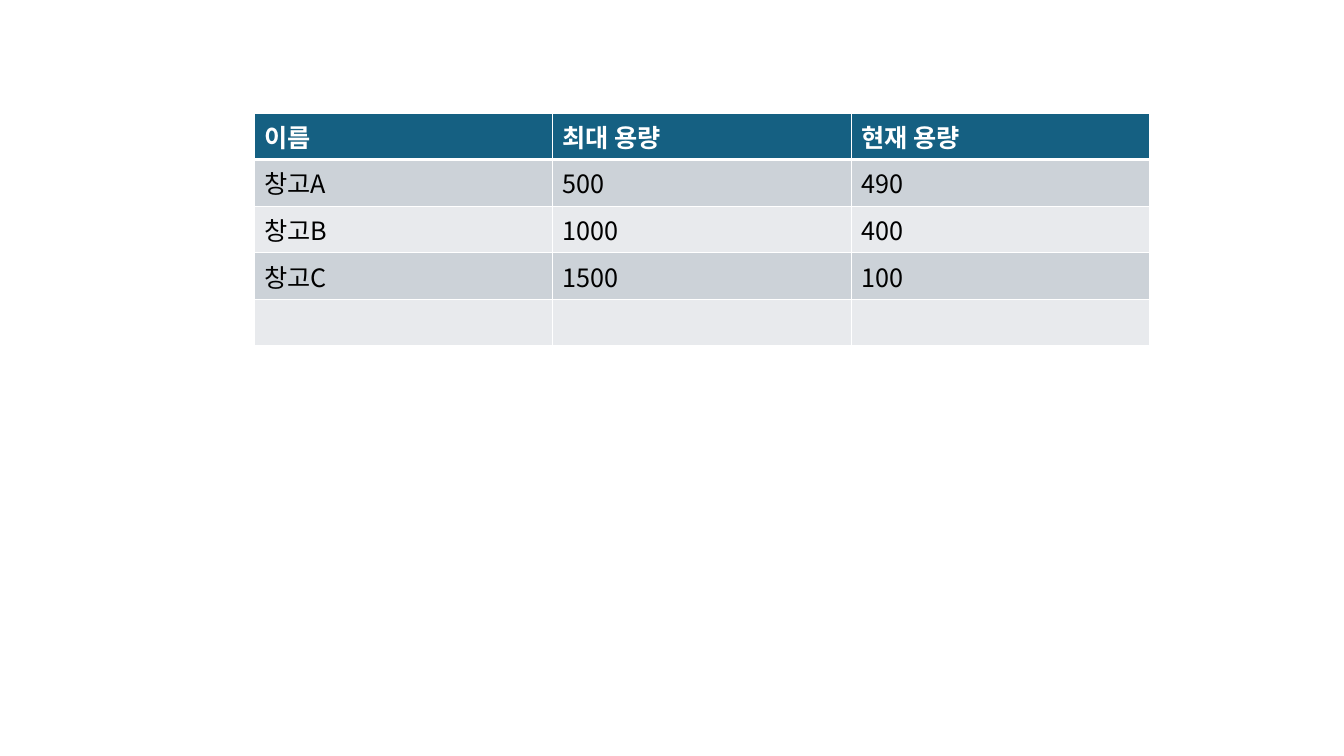
import dataclasses

import lxml.etree
import pptx
import pptx.dml.color
import pptx.oxml.ns
import pptx.text.text
import pptx.util

EMU_PER_PX = 914400 / 100.8


@dataclasses.dataclass(frozen=True)
class Theme:
    font: str = "Noto Sans CJK KR"
    text_size: int = 18
    header_fill: str = "156082"
    header_text: str = "FFFFFF"
    band_fills: tuple = ("CCD2D8", "E8EAED")
    body_text: str = "000000"
    rule: str = "FFFFFF"
    thin_rule: int = 1
    thick_rule: int = 3


def px(length):
    return pptx.util.Emu(round(length * EMU_PER_PX))


def rgb(value):
    return pptx.dml.color.RGBColor.from_string(value)


class SlideBuilder:
    def __init__(self, slide, theme):
        self.slide = slide
        self.theme = theme

    def add_table(self, left, top, width, row_height, rows):
        height = row_height * len(rows)
        table = self.slide.shapes.add_table(
            len(rows), len(rows[0]), px(left), px(top), px(width), px(height)
        ).table
        table.horz_banding = False
        for row_index, row in enumerate(rows):
            for column_index, text in enumerate(row):
                self.fill_cell(table.cell(row_index, column_index), text, row_index)

    def fill_cell(self, cell, text, row_index):
        theme = self.theme
        is_header = row_index == 0
        band = theme.band_fills[(row_index - 1) % len(theme.band_fills)]
        cell.fill.solid()
        cell.fill.fore_color.rgb = rgb(theme.header_fill if is_header else band)
        self.set_borders(cell, row_index)
        self.write_text(cell.text_frame.paragraphs[0], text, is_header)

    def write_text(self, paragraph, text, is_header):
        theme = self.theme
        if text:
            run = paragraph.add_run()
            run.text = text
            font = run.font
        else:
            # An empty cell keeps its line height through the end mark
            font = pptx.text.text.Font(paragraph._p.get_or_add_endParaRPr())
        formats = {
            "size": pptx.util.Pt(theme.text_size),
            "bold": is_header,
            "name": theme.font,
        }
        for attribute, value in formats.items():
            setattr(font, attribute, value)
        font.color.rgb = rgb(theme.header_text if is_header else theme.body_text)
        lxml.etree.SubElement(
            font._rPr, pptx.oxml.ns.qn("a:ea"), typeface=theme.font
        )

    def set_borders(self, cell, row_index):
        theme = self.theme
        widths = dict.fromkeys(("lnL", "lnR", "lnT", "lnB"), theme.thin_rule)
        # The thick rule lies between the header and the first body row
        if row_index < 2:
            widths["lnT" if row_index else "lnB"] = theme.thick_rule
        properties = cell._tc.get_or_add_tcPr()
        for position, (side, width) in enumerate(widths.items()):
            border = lxml.etree.Element(
                pptx.oxml.ns.qn(f"a:{side}"), w=str(pptx.util.Pt(width))
            )
            fill = lxml.etree.SubElement(border, pptx.oxml.ns.qn("a:solidFill"))
            lxml.etree.SubElement(
                fill, pptx.oxml.ns.qn("a:srgbClr"), val=theme.rule
            )
            properties.insert(position, border)


def main():
    presentation = pptx.Presentation()
    presentation.slide_width = px(1344)
    presentation.slide_height = px(756)
    blank_layout = presentation.slide_layouts[6]
    builder = SlideBuilder(presentation.slides.add_slide(blank_layout), Theme())

    # Warehouse capacities, with a free last row
    warehouses = [
        ("이름", "최대 용량", "현재 용량"),
        ("창고A", "500", "490"),
        ("창고B", "1000", "400"),
        ("창고C", "1500", "100"),
        ("", "", ""),
    ]
    builder.add_table(left=254, top=113, width=896, row_height=41, rows=warehouses)

    presentation.save("out.pptx")


if __name__ == "__main__":
    main()
